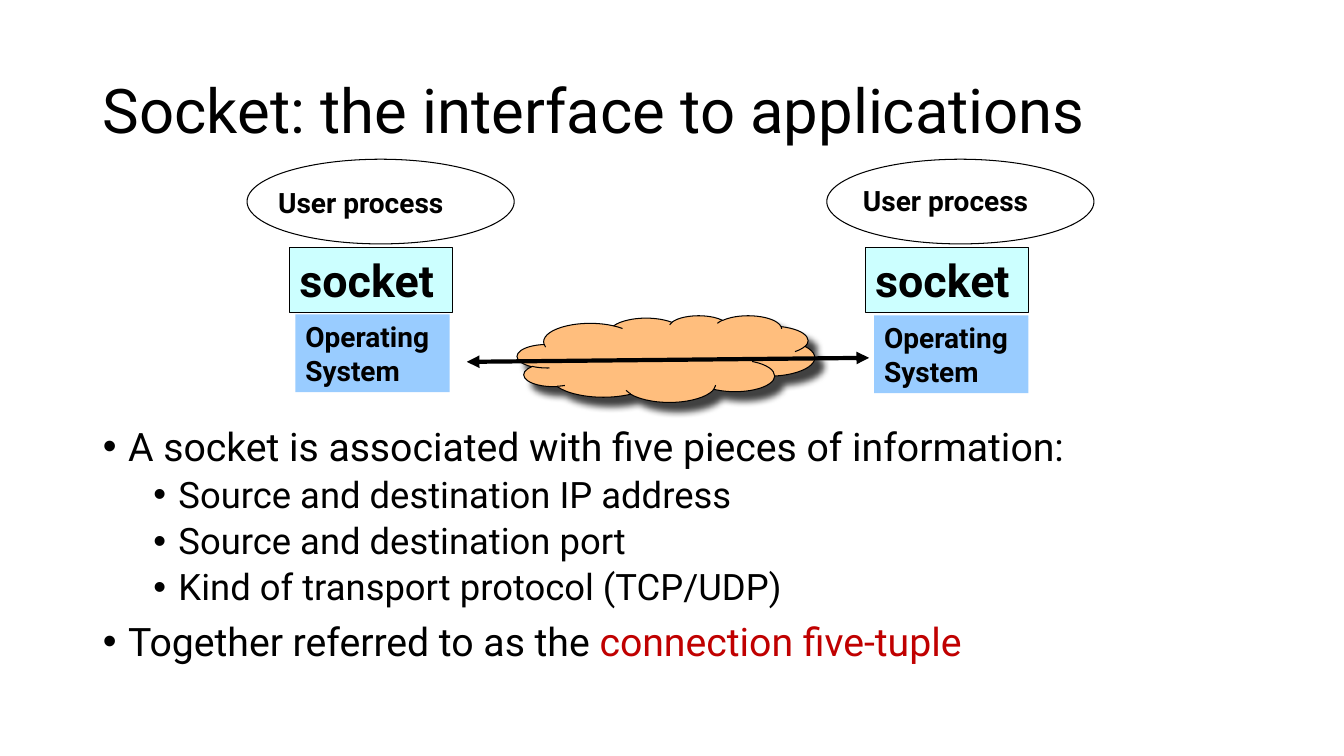
from typing import Any, NamedTuple

from lxml.etree import SubElement
from pptx import Presentation
from pptx.dml.color import RGBColor
from pptx.enum.shapes import MSO_CONNECTOR as CONN, MSO_SHAPE as SHAPE
from pptx.enum.text import MSO_ANCHOR as ANCHOR, MSO_AUTO_SIZE as FIT, PP_ALIGN as ALIGN
from pptx.oxml.ns import qn
from pptx.util import Inches, Pt

BLACK, RED = "000000", "C00000"
AQUA, BLUE, ORANGE = "CCFFFF", "99CCFF", "FFBE7D"


class Box(NamedTuple):
    kind: Any
    lefts: tuple[float, ...]
    tops: tuple[float, ...]
    size: tuple[float, float]
    fill: str = ""
    line: str = ""
    lines: tuple[str, ...] = ()
    pt: int = 20


class Bullet(NamedTuple):
    text: str
    level: int = 0
    accent: str = ""


BOXES = [
    Box(SHAPE.OVAL, (2.45, 8.2), (1.58, 1.58), (2.65, 0.84), line=BLACK),
    Box(SHAPE.RECTANGLE, (2.87, 8.58), (2.46, 2.46), (1.62, 0.64), AQUA, BLACK, ("socket",), 32),
    Box(None, (2.66, 8.46), (1.79, 1.77), (1.98, 0.44), lines=("User process",)),
    Box(SHAPE.RECTANGLE, (2.93, 8.67), (3.12, 3.13), (1.53, 0.77), BLUE, lines=("Operating", "System")),
    Box(SHAPE.CLOUD, (5.13,), (3.13,), (2.95, 0.86), ORANGE, BLACK),
]
BULLETS = [
    Bullet("A socket is associated with five pieces of information:"),
    Bullet("Source and destination IP address", 1),
    Bullet("Source and destination port", 1),
    Bullet("Kind of transport protocol (TCP/UDP)", 1),
    Bullet("Together referred to as the ", accent="connection five-tuple"),
]
LEVELS = [
    {"size": 28, "margin": 0.25, "before": 10},
    {"size": 26, "margin": 0.75, "before": 5},
]


def rgb(value: str) -> RGBColor:
    return RGBColor.from_string(value)


def apply(target: Any, **values: Any) -> None:
    for name, value in values.items():
        setattr(target, name, value)


def add_run(p: Any, text: str, size: float, color: str = BLACK, bold: bool = False) -> None:
    r = p.add_run()
    r.text = text
    apply(r.font, name="Roboto", size=Pt(size), bold=bold)
    r.font.color.rgb = rgb(color)


def place(sp: Any, left: float, top: float, width: float, height: float) -> None:
    apply(sp, left=Inches(left), top=Inches(top), width=Inches(width), height=Inches(height))


def add_box(s: Any, box: Box, left: float, top: float) -> Any:
    frame = [Inches(v) for v in (left, top, *box.size)]
    if box.kind is None:
        sp = s.shapes.add_textbox(*frame)
    else:
        sp = s.shapes.add_shape(box.kind, *frame)
        sp.shadow.inherit = False
    if box.fill:
        sp.fill.solid()
        sp.fill.fore_color.rgb = rgb(box.fill)
    else:
        sp.fill.background()
    if box.line:
        sp.line.color.rgb = rgb(box.line)
        sp.line.width = Pt(0.75)
    else:
        sp.line.fill.background()
    tf = sp.text_frame
    apply(tf, word_wrap=True, auto_size=FIT.NONE, vertical_anchor=ANCHOR.TOP)
    for i, text in enumerate(box.lines):
        p = tf.add_paragraph() if i else tf.paragraphs[0]
        p.alignment = ALIGN.LEFT
        add_run(p, text, box.pt, bold=True)
    return sp


def add_shadow(sp: Any) -> None:
    effects = sp._element.spPr.find(qn("a:effectLst"))
    shadow = SubElement(effects, qn("a:outerShdw"), blurRad=str(Pt(5)), dist=str(Pt(8.5)),
                        dir="2700000", algn="ctr", rotWithShape="0")
    color = SubElement(shadow, qn("a:srgbClr"), val=BLACK)
    SubElement(color, qn("a:alpha"), val="75000")


def add_arrow(s: Any, x1: float, y1: float, x2: float, y2: float) -> None:
    cn = s.shapes.add_connector(CONN.STRAIGHT, *(Inches(v) for v in (x1, y1, x2, y2)))
    cn.line.color.rgb = rgb(BLACK)
    cn.line.width = Pt(3)
    spPr = cn._element.spPr
    for end in ("a:headEnd", "a:tailEnd"):
        SubElement(spPr.find(qn("a:ln")), qn(end), type="triangle")
    SubElement(spPr, qn("a:effectLst"))


def fill_title(sp: Any, text: str) -> None:
    place(sp, 0.92, 0.4, 11.5, 1.45)
    tf = sp.text_frame
    apply(tf, word_wrap=True, auto_size=FIT.NONE, vertical_anchor=ANCHOR.MIDDLE)
    p = tf.paragraphs[0]
    apply(p, alignment=ALIGN.LEFT, line_spacing=0.9)
    add_run(p, text, 44)


def fill_body(sp: Any, bullets: list[Bullet]) -> None:
    place(sp, 0.92, 4.19, 11.5, 2.91)
    tf = sp.text_frame
    apply(tf, word_wrap=True, auto_size=FIT.NONE, vertical_anchor=ANCHOR.TOP)
    for i, item in enumerate(bullets):
        style = LEVELS[item.level]
        p = tf.add_paragraph() if i else tf.paragraphs[0]
        apply(p, level=item.level, line_spacing=0.9, space_before=Pt(style["before"]))
        pPr = p._p.get_or_add_pPr()
        pPr.set("marL", str(Inches(style["margin"])))
        pPr.set("indent", str(Inches(-0.25)))
        SubElement(pPr, qn("a:buFont"), typeface="Arial")
        SubElement(pPr, qn("a:buChar"), char="•")
        add_run(p, item.text, style["size"])
        if item.accent:
            add_run(p, item.accent, style["size"], RED)


def main() -> None:
    """Build the slide on sockets as the interface to applications."""
    prs = Presentation()
    apply(prs, slide_width=Inches(13.33), slide_height=Inches(7.5))
    s = prs.slides.add_slide(prs.slide_layouts[1])
    fill_title(s.shapes.title, "Socket: the interface to applications")
    fill_body(s.placeholders[1], BULLETS)
    for box in BOXES:
        for left, top in zip(box.lefts, box.tops):
            sp = add_box(s, box, left, top)
            if box.kind == SHAPE.CLOUD:
                add_shadow(sp)
    add_arrow(s, 4.63, 3.59, 8.62, 3.55)
    prs.save("out.pptx")


if __name__ == "__main__":
    main()
